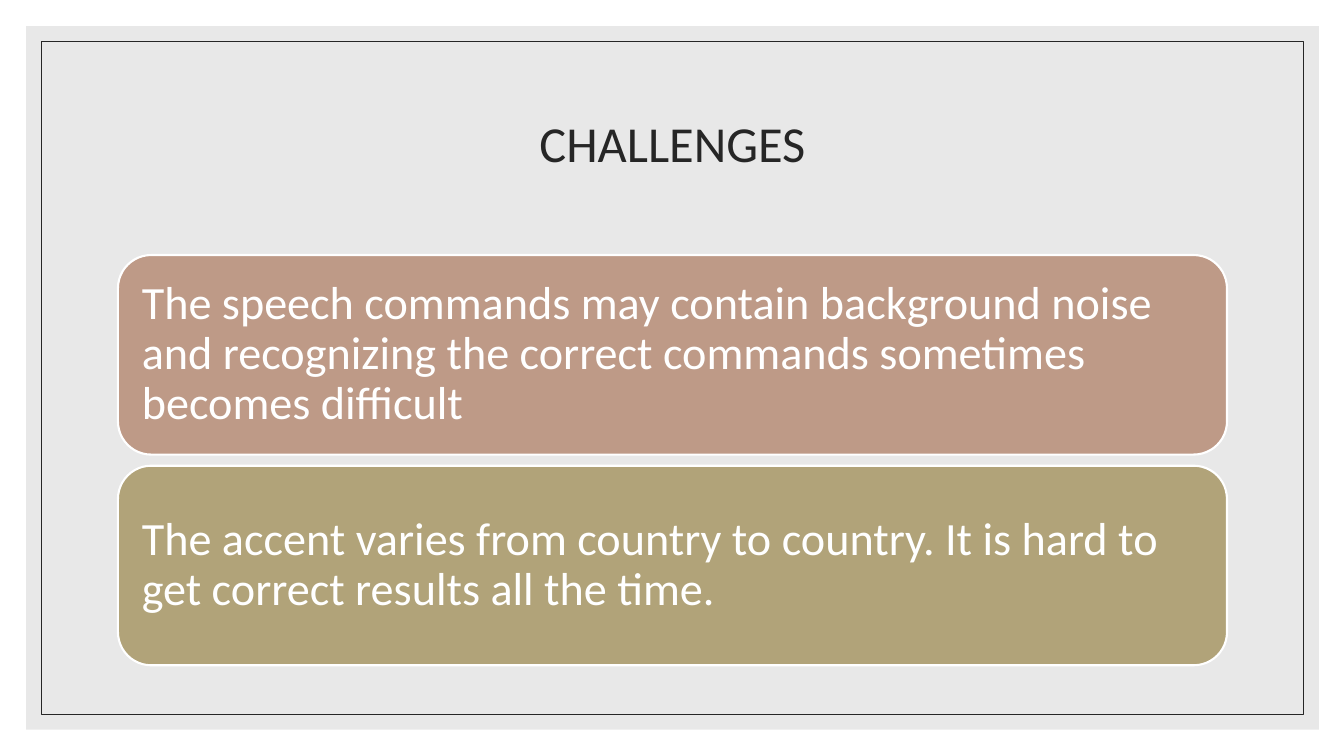
from lxml import etree
from pptx import Presentation
from pptx.dml.color import RGBColor
from pptx.enum.shapes import MSO_SHAPE
from pptx.enum.text import MSO_ANCHOR, MSO_AUTO_SIZE, PP_ALIGN
from pptx.oxml.ns import qn
from pptx.util import Pt

PX = 9144  # 100 px to the inch
RECT, ROUND_RECT = MSO_SHAPE.RECTANGLE, MSO_SHAPE.ROUNDED_RECTANGLE
MIDDLE = MSO_ANCHOR.MIDDLE
LEFT, CENTER = PP_ALIGN.LEFT, PP_ALIGN.CENTER
TITLE_ONLY = 5
FONT = "Calibri"

WHITE = RGBColor(0xFF, 0xFF, 0xFF)
GREY = RGBColor(0xD9, 0xD9, 0xD9)
DARK = RGBColor(0x26, 0x26, 0x26)
CLAY = RGBColor(0xBE, 0x9A, 0x87)
OLIVE = RGBColor(0xB1, 0xA3, 0x79)

SLIDE_W, SLIDE_H = 1333, 750
CARD_X, CARD_Y, CARD_W, CARD_H = 117, 253, 1100, 198
CARD_STEP = 209
CARD_INSET = 14
CHALLENGES = [
    ("The speech commands may contain background noise and recognizing "
     "the correct commands sometimes becomes difficult", CLAY),
    ("The accent varies from country to country. It is hard to get "
     "correct results all the time.", OLIVE),
]


def px(*lengths):
    return [n * PX for n in lengths]


def add_box(s, kind, box, fill=None, line=None, width=0.5):
    sp = s.shapes.add_shape(kind, *px(*box))
    sp.shadow.inherit = False
    if fill is None:
        sp.fill.background()
    else:
        sp.fill.solid()
        sp.fill.fore_color.rgb = fill
    if line is None:
        sp.line.fill.background()
    else:
        sp.line.color.rgb = line
        sp.line.width = Pt(width)
    return sp


def set_opacity(sp, percent):
    color = sp.element.spPr.find(qn("a:solidFill")).find(qn("a:srgbClr"))
    etree.SubElement(color, qn("a:alpha")).set("val", str(percent * 1000))


def write_text(sp, text, size, color, align):
    tf = sp.text_frame
    tf.word_wrap = True
    tf.auto_size = MSO_AUTO_SIZE.NONE
    tf.vertical_anchor = MIDDLE
    p = tf.paragraphs[0]
    p.alignment = align
    p.line_spacing = 0.9
    r = p.add_run()
    r.text = text
    r.font.name = FONT
    r.font.size = Pt(size)
    r.font.color.rgb = color


def add_frame(s):
    add_box(s, RECT, (0, 0, SLIDE_W, SLIDE_H), WHITE)
    panel = add_box(s, RECT, (26, 26, 1282, 698), GREY)
    set_opacity(panel, 60)
    add_box(s, RECT, (41, 41, 1252, 668), line=DARK)


def place_title(s, text):
    """Fill the title placeholder and bring it in front of the frame."""
    title = s.shapes.title
    title.left, title.top, title.width, title.height = px(117, 70, 1100, 150)
    write_text(title, text, 36, DARK, CENTER)
    title.element.getparent().append(title.element)


def add_card(s, y, text, fill):
    card = add_box(s, ROUND_RECT, (CARD_X, y, CARD_W, CARD_H), fill, WHITE, 1.5)
    tf = card.text_frame
    tf.margin_left = tf.margin_right = CARD_INSET * PX
    tf.margin_top = tf.margin_bottom = CARD_INSET * PX
    write_text(card, text, 33, WHITE, LEFT)


def main():
    prs = Presentation()
    prs.slide_width, prs.slide_height = px(SLIDE_W, SLIDE_H)
    s = prs.slides.add_slide(prs.slide_layouts[TITLE_ONLY])
    add_frame(s)
    place_title(s, "CHALLENGES")
    for i, (text, fill) in enumerate(CHALLENGES):
        add_card(s, CARD_Y + i * CARD_STEP, text, fill)
    prs.save("out.pptx")


if __name__ == "__main__":
    main()
